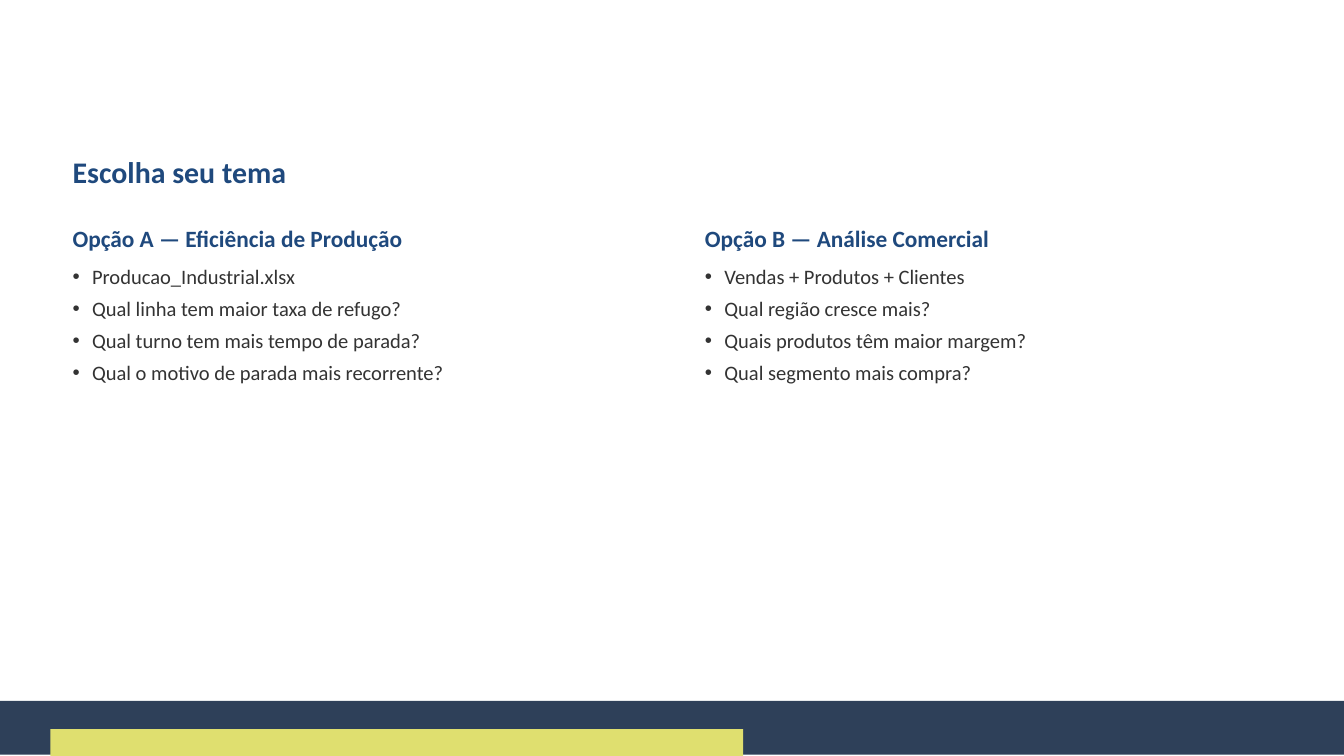
from dataclasses import dataclass

from lxml.etree import SubElement
from pptx import Presentation
from pptx.dml.color import RGBColor
from pptx.enum.shapes import MSO_SHAPE
from pptx.enum.text import MSO_ANCHOR, MSO_AUTO_SIZE, PP_ALIGN
from pptx.oxml.ns import qn
from pptx.util import Pt

PX = 9144  # EMU per px, 100 px to the inch


@dataclass(frozen=True)
class Style:
    size: int
    color: str
    bold: bool = False


@dataclass(frozen=True)
class Theme:
    font: str = "Calibri"
    title: Style = Style(32, "1F497D", True)
    heading: Style = Style(25, "1F497D", True)
    body: Style = Style(22, "333333")
    navy: str = "2E4059"
    lime: str = "DFDF6F"
    gap: int = 8
    bullet_indent: int = 29


@dataclass(frozen=True)
class Box:
    x: int
    y: int
    w: int
    h: int

    def emu(self) -> tuple[int, ...]:
        return tuple(v * PX for v in (self.x, self.y, self.w, self.h))


@dataclass(frozen=True)
class Option:
    heading: str
    items: tuple[str, ...]


THEME = Theme()
LEFT, COLUMN_W, COLUMN_STEP = 98, 853, 941
OPTIONS = (
    Option("Opção A — Eficiência de Produção", (
        "Producao_Industrial.xlsx",
        "Qual linha tem maior taxa de refugo?",
        "Qual turno tem mais tempo de parada?",
        "Qual o motivo de parada mais recorrente?",
    )),
    Option("Opção B — Análise Comercial", (
        "Vendas + Produtos + Clientes",
        "Qual região cresce mais?",
        "Quais produtos têm maior margem?",
        "Qual segmento mais compra?",
    )),
)


def add_bar(s, box: Box, color: str) -> None:
    sp = s.shapes.add_shape(MSO_SHAPE.RECTANGLE, *box.emu())
    sp.shadow.inherit = False
    sp.fill.solid()
    sp.fill.fore_color.rgb = RGBColor.from_string(color)
    sp.line.fill.background()


def set_bullet(p) -> None:
    pPr = p._p.get_or_add_pPr()
    indent = THEME.bullet_indent * PX
    pPr.set("marL", str(indent))
    pPr.set("indent", str(-indent))
    SubElement(pPr, qn("a:buChar")).set("char", "•")


def fill_text(sp, box: Box, lines: tuple[str, ...], style: Style, bullets: bool = False) -> None:
    sp.left, sp.top, sp.width, sp.height = box.emu()
    tf = sp.text_frame
    tf.word_wrap = True
    tf.auto_size = MSO_AUTO_SIZE.NONE
    tf.vertical_anchor = MSO_ANCHOR.TOP
    for i, line in enumerate(lines):
        p = tf.add_paragraph() if i else tf.paragraphs[0]
        if bullets:
            set_bullet(p)
        p.alignment = PP_ALIGN.LEFT
        p.space_before, p.space_after = Pt(0), Pt(THEME.gap)
        r = p.add_run()
        r.text = line
        r.font.name, r.font.size, r.font.bold = THEME.font, Pt(style.size), style.bold
        r.font.color.rgb = RGBColor.from_string(style.color)


def main() -> None:
    prs = Presentation()
    prs.slide_width, prs.slide_height = 2000 * PX, 1125 * PX
    s = prs.slides.add_slide(prs.slide_layouts.get_by_name("Comparison"))

    add_bar(s, Box(0, 1043, 2000, 80), THEME.navy)
    add_bar(s, Box(75, 1085, 1031, 40), THEME.lime)

    fill_text(s.shapes.title, Box(LEFT, 224, 1794, 98), ("Escolha seu tema",), THEME.title)
    for i, option in enumerate(OPTIONS):
        x = LEFT + i * COLUMN_STEP
        heading, body = (s.placeholders[2 * i + n] for n in (1, 2))
        fill_text(heading, Box(x, 328, COLUMN_W, 55), (option.heading,), THEME.heading)
        fill_text(body, Box(x, 388, COLUMN_W, 547), option.items, THEME.body, bullets=True)

    prs.save("out.pptx")


if __name__ == "__main__":
    main()
